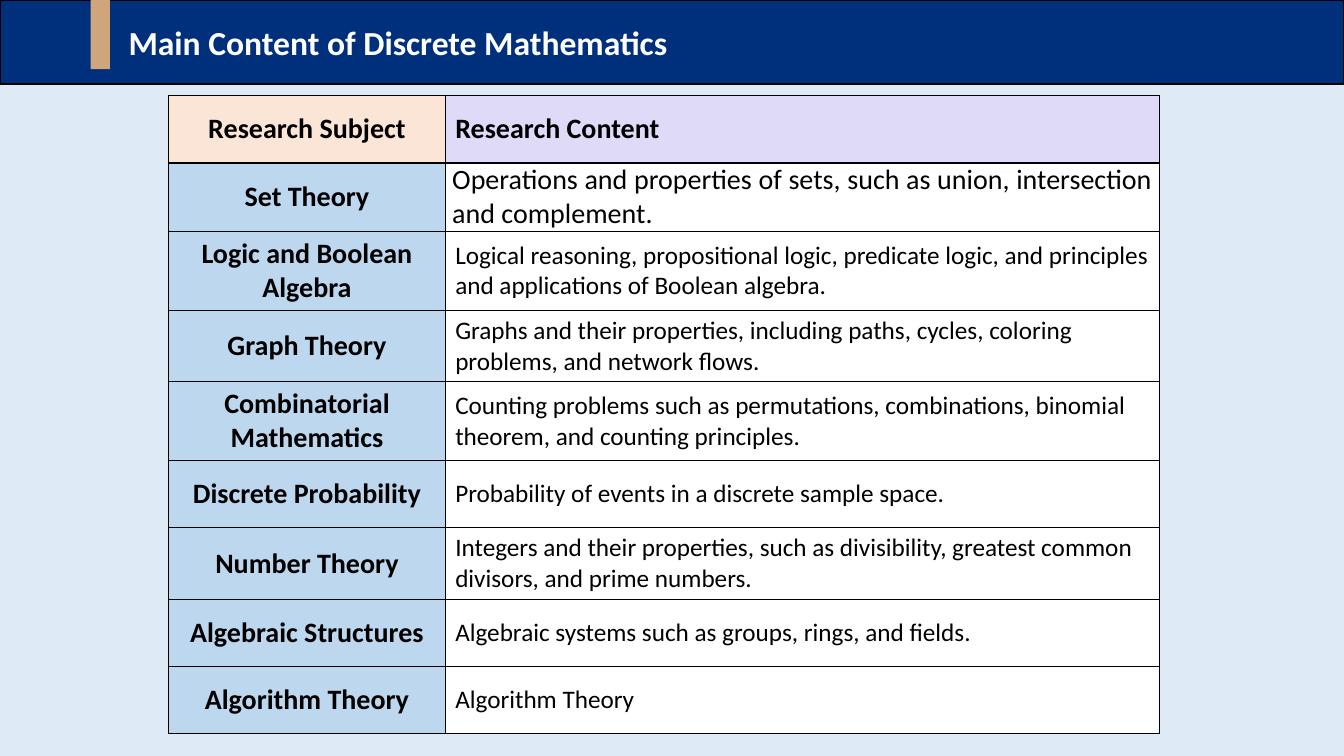
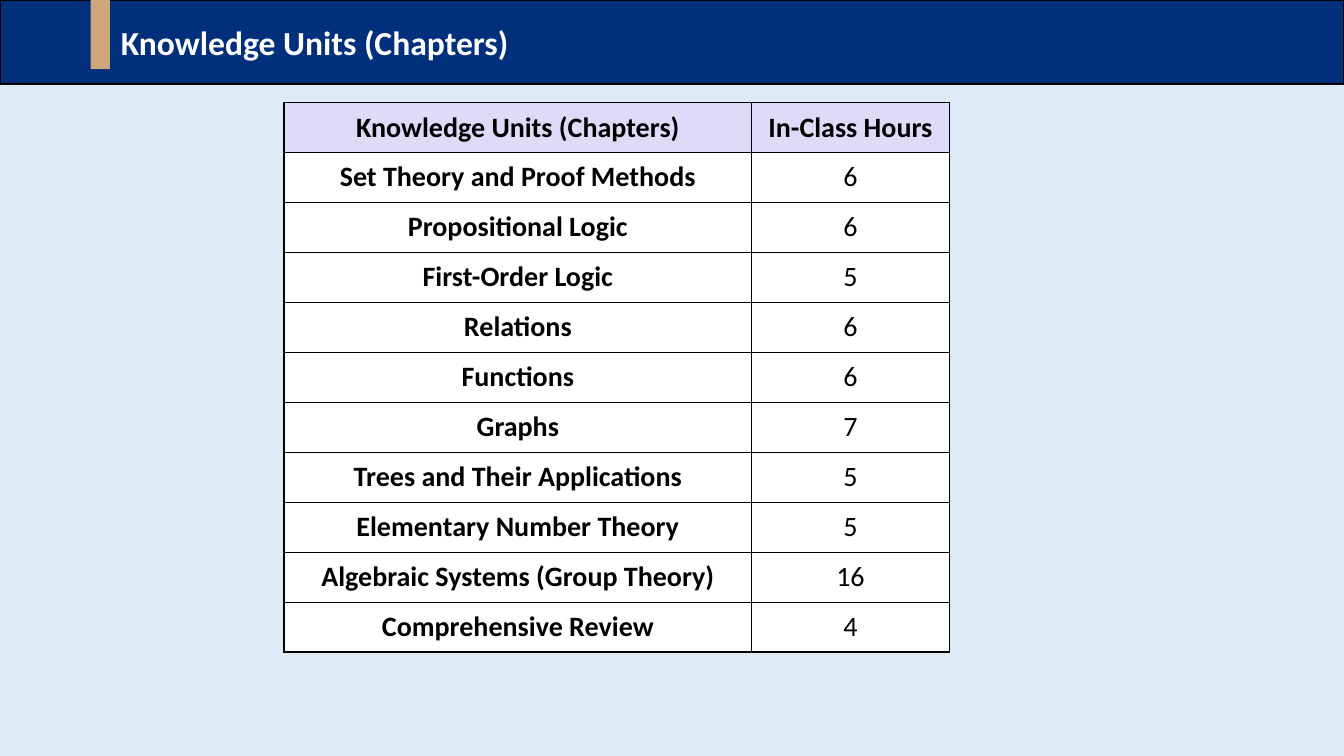
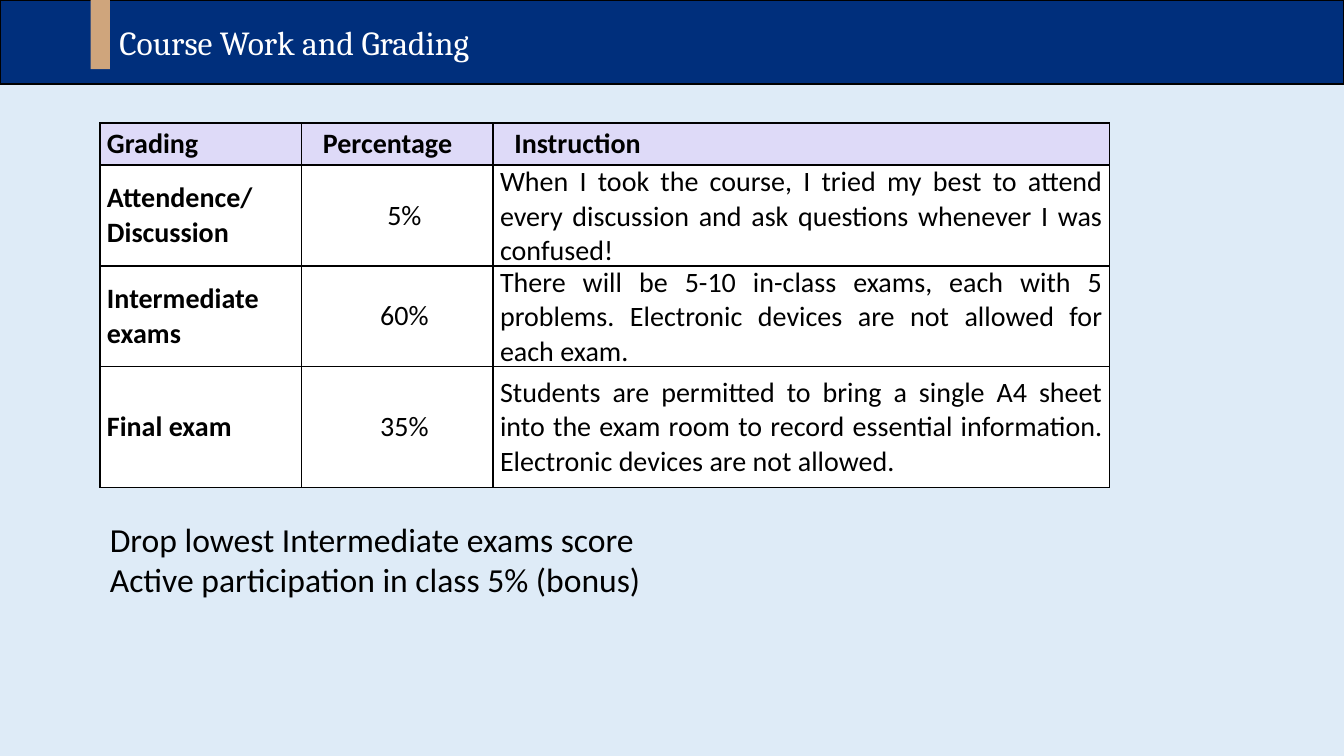
import dataclasses

import pptx
import pptx.dml.color
import pptx.enum.shapes
import pptx.enum.text
import pptx.oxml
import pptx.oxml.ns
import pptx.util

ALIGN = pptx.enum.text.PP_ALIGN
MIDDLE = pptx.enum.text.MSO_ANCHOR.MIDDLE
COLS, ROWS = 160, 90


@dataclasses.dataclass(frozen=True)
class Theme:
    page: str = "DEEBF7"
    band: str = "002F7C"
    accent: str = "CFA57C"
    ink: str = "000000"
    white: str = "FFFFFF"
    peach: str = "FBE5D6"
    lilac: str = "DEDAF8"
    sky: str = "BDD7EE"
    font: str = "Calibri"
    serif: str = "Cambria"
    large: int = 24
    medium: int = 20
    small: int = 18


THEME = Theme()


@dataclasses.dataclass(frozen=True)
class Look:
    """Style of a table cell; a tight cell has narrow sides and no top or bottom margin."""
    fill: str = THEME.white
    size: int = THEME.medium
    bold: bool = False
    align: ALIGN = ALIGN.CENTER
    tight: bool = True
    indent: float = 0


def tint(fill, color):
    fill.solid()
    fill.fore_color.rgb = pptx.dml.color.RGBColor.from_string(color)


class Deck:
    """Builds slides on a grid of COLS by ROWS square units."""

    def __init__(self):
        self.file = pptx.Presentation()
        self.file.slide_width = pptx.util.Inches(13.33)
        self.file.slide_height = pptx.util.Inches(7.5)
        tint(self.file.slide_master.background.fill, THEME.page)
        self.slide = None

    def wide(self, cols):
        return round(self.file.slide_width * cols / COLS)

    def high(self, rows):
        return round(self.file.slide_height * rows / ROWS)

    def box(self, left, top, width, height):
        return self.wide(left), self.high(top), self.wide(width), self.high(height)

    def text(self, para, words, size, color=THEME.ink, bold=False,
             font=THEME.font, align=ALIGN.LEFT):
        para.alignment = align
        run = para.add_run()
        run.text = words
        run.font.name = font
        run.font.size = pptx.util.Pt(size)
        run.font.bold = bold
        run.font.color.rgb = pptx.dml.color.RGBColor.from_string(color)

    def start(self, title, inset, font=THEME.font, bold=True):
        """Add a slide whose title placeholder is the top band."""
        self.slide = self.file.slides.add_slide(self.file.slide_layouts[5])
        band = self.slide.shapes.title
        band.left, band.top, band.width, band.height = self.box(0, 0, COLS, 10)
        tint(band.fill, THEME.band)
        tint(band.line.fill, THEME.ink)
        band.line.width = pptx.util.Pt(1)
        frame = band.text_frame
        frame.auto_size = pptx.enum.text.MSO_AUTO_SIZE.NONE
        frame.vertical_anchor = MIDDLE
        frame.margin_left = self.wide(inset)
        self.text(frame.paragraphs[0], title, THEME.large, THEME.white, bold, font)
        self.bar(10.8, 0, 2.3, 8.25, THEME.accent)

    def bar(self, left, top, width, height, color):
        shape = self.slide.shapes.add_shape(
            pptx.enum.shapes.MSO_SHAPE.RECTANGLE, *self.box(left, top, width, height))
        shape.shadow.inherit = False
        tint(shape.fill, color)
        shape.line.fill.background()

    def note(self, left, top, width, height, lines):
        frame = self.slide.shapes.add_textbox(
            *self.box(left, top, width, height)).text_frame
        frame.word_wrap = True
        for i, line in enumerate(lines):
            para = frame.add_paragraph() if i else frame.paragraphs[0]
            self.text(para, line, THEME.large)

    def table(self, left, top, widths, heights, rows):
        """Draw rows of (words, look) pairs."""
        table = self.slide.shapes.add_table(
            len(rows), len(widths),
            *self.box(left, top, sum(widths), sum(heights))).table
        table.horz_banding = False
        for col, width in zip(table.columns, widths):
            col.width = self.wide(width)
        for line, height, row in zip(table.rows, heights, rows):
            line.height = self.high(height)
            for cell, (words, look) in zip(line.cells, row):
                self.cell(cell, words, look)

    def cell(self, cell, words, look):
        cell.vertical_anchor = MIDDLE
        if look.tight:
            cell.margin_left = cell.margin_right = pptx.util.Inches(0.07)
            cell.margin_top = cell.margin_bottom = 0
        tint(cell.fill, look.fill)
        self.edge(cell)
        para = cell.text_frame.paragraphs[0]
        self.text(para, words, look.size, bold=look.bold, align=look.align)
        if look.indent:
            props = para._p.get_or_add_pPr()
            props.set("marL", "0")
            props.set("indent", str(self.wide(look.indent)))

    def edge(self, cell):
        props = cell._tc.get_or_add_tcPr()
        space = pptx.oxml.ns.nsdecls("a")
        for i, side in enumerate("LRTB"):
            props.insert(i, pptx.oxml.parse_xml(
                f'<a:ln{side} {space} w="{pptx.util.Pt(1)}"><a:solidFill>'
                f'<a:srgbClr val="{THEME.ink}"/></a:solidFill></a:ln{side}>'))


def pair(words, looks):
    return list(zip(words, looks))


def topics(deck):
    deck.start("Main Content of Discrete Mathematics", 15.3)
    head = (Look(THEME.peach, bold=True, tight=False),
            Look(THEME.lilac, bold=True, align=ALIGN.LEFT, tight=False))
    name = Look(THEME.sky, bold=True, tight=False)
    body = (name, Look(size=THEME.small, align=ALIGN.LEFT, tight=False))
    first = (Look(THEME.sky, bold=True), Look(align=ALIGN.JUSTIFY))
    data = [
        ("Research Subject", "Research Content"),
        ("Set Theory", "Operations and properties of sets, such as union, "
         "intersection and complement."),
        ("Logic and Boolean Algebra", "Logical reasoning, propositional logic, "
         "predicate logic, and principles and applications of Boolean algebra."),
        ("Graph Theory", "Graphs and their properties, including paths, cycles, "
         "coloring problems, and network flows."),
        ("Combinatorial Mathematics", "Counting problems such as permutations, "
         "combinations, binomial theorem, and counting principles."),
        ("Discrete Probability", "Probability of events in a discrete sample space."),
        ("Number Theory", "Integers and their properties, such as divisibility, "
         "greatest common divisors, and prime numbers."),
        ("Algebraic Structures", "Algebraic systems such as groups, rings, and fields."),
        ("Algorithm Theory", "Algorithm Theory"),
    ]
    looks = [head, first] + [body] * (len(data) - 2)
    deck.table(20.1, 11.4, (32.9, 85), [8] * len(data), list(map(pair, data, looks)))


def units(deck):
    deck.start("Knowledge Units (Chapters)", 14.4)
    head = (Look(THEME.lilac, bold=True),) * 2
    body = (Look(bold=True), Look())
    data = [
        ("Knowledge Units (Chapters)", "In-Class Hours"),
        ("Set Theory and Proof Methods", "6"),
        ("Propositional Logic", "6"),
        ("First-Order Logic", "5"),
        ("Relations", "6"),
        ("Functions", "6"),
        ("Graphs", "7"),
        ("Trees and Their Applications", "5"),
        ("Elementary Number Theory", "5"),
        ("Algebraic Systems (Group Theory)", "16"),
        ("Comprehensive Review", "4"),
    ]
    looks = [head] + [body] * (len(data) - 1)
    deck.table(33.8, 12.2, (55.7, 23.5), [5.95] * len(data),
               list(map(pair, data, looks)))


def grades(deck):
    deck.start("Course Work and Grading", 14.2, THEME.serif, False)
    deck.note(11.9, 61.2, 81.8, 10.9, (
        "Drop lowest Intermediate exams score",
        "Active participation in class 5% (bonus)"))
    top = Look(THEME.lilac, bold=True, align=ALIGN.JUSTIFY)
    inner = dataclasses.replace(top, indent=1.7)
    head = (top, inner, inner)
    body = (Look(bold=True, align=ALIGN.JUSTIFY), Look(indent=1.7),
            Look(align=ALIGN.JUSTIFY))
    data = [
        ("Grading", "Percentage", "Instruction"),
        ("Attendence/Discussion", "5%", "When I took the course, I tried my best to "
         "attend every discussion and ask questions whenever I was confused!"),
        ("Intermediate exams", "60%", "There will be 5-10 in-class exams, each with 5 "
         "problems. Electronic devices are not allowed for each exam."),
        ("Final exam", "35%", "Students are permitted to bring a single A4 sheet into "
         "the exam room to record essential information. Electronic devices are not "
         "allowed."),
    ]
    looks = [head] + [body] * (len(data) - 1)
    deck.table(11.9, 14.65, (24, 22.8, 73.4), (5, 9.6, 9.6, 14.4),
               list(map(pair, data, looks)))


def main():
    deck = Deck()
    for build in (topics, units, grades):
        build(deck)
    deck.file.save("out.pptx")


if __name__ == "__main__":
    main()
